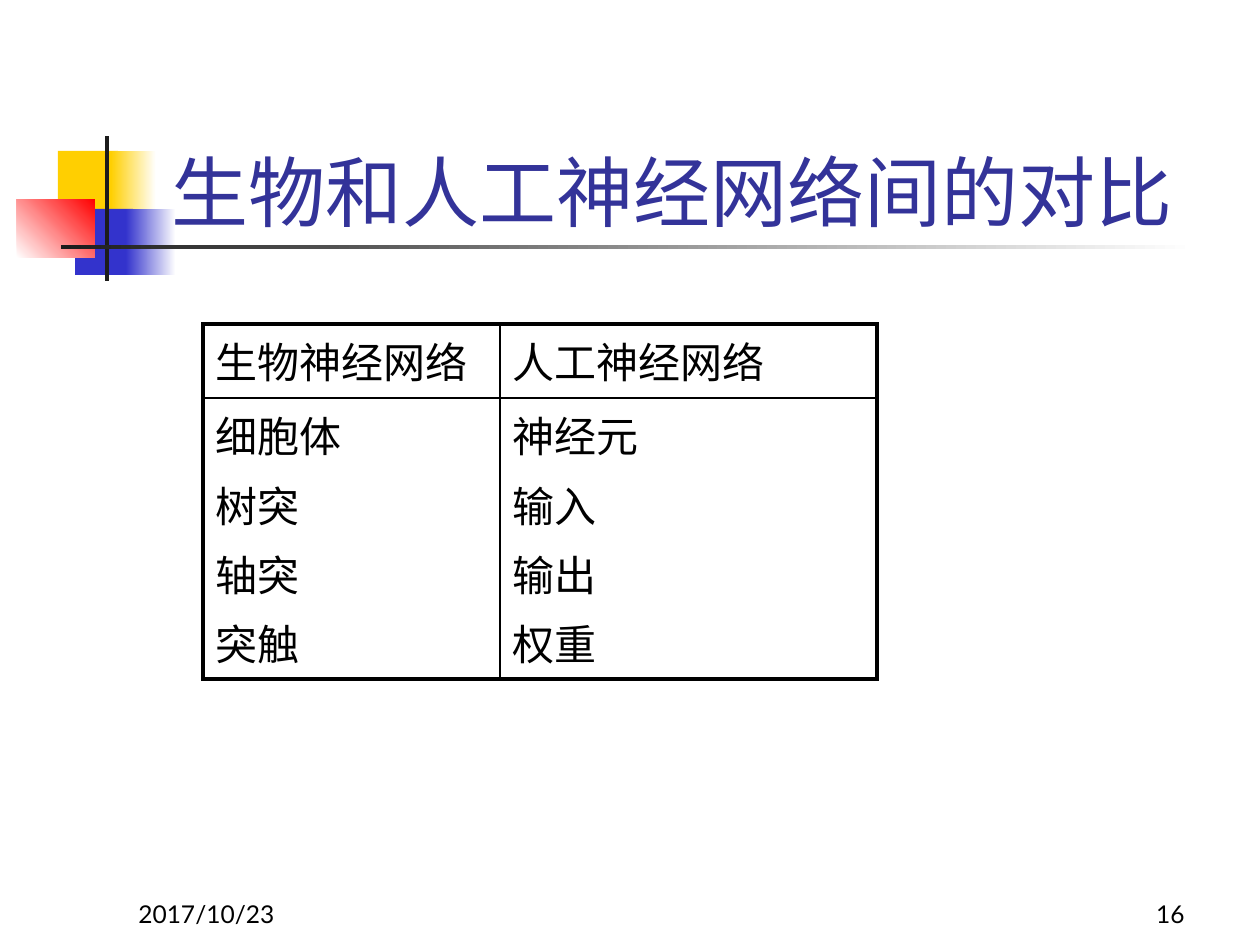
from pptx import Presentation
from pptx.dml.color import RGBColor
from pptx.enum.shapes import MSO_SHAPE
from pptx.enum.text import MSO_ANCHOR, PP_ALIGN
from pptx.oxml import parse_xml
from pptx.oxml.ns import nsdecls
from pptx.util import Pt

RECT = MSO_SHAPE.RECTANGLE
BOTTOM = MSO_ANCHOR.BOTTOM
LEFT, RIGHT = PP_ALIGN.LEFT, PP_ALIGN.RIGHT
PX = 914400 / 126


def px(*values):
    """Turn pixel lengths into EMU."""
    return [round(v * PX) for v in values]


def add_run(p, text, size, color, font):
    r = p.add_run()
    r.text = text
    r.font.size = Pt(size)
    r.font.name = font
    r.font.color.rgb = RGBColor.from_string(color)


prs = Presentation()
prs.slide_width, prs.slide_height = px(1260, 945)
s = prs.slides.add_slide(prs.slide_layouts[6])

# Corner ornament: box, gradient stops (one colour is a solid fill), angle
ornament = [
    ((58, 151, 60, 66), ["FFCF01"], 0),
    ((111, 151, 45, 66), ["FFCF01", "FFFFFF"], 0),
    ((75, 209, 58, 66), ["3333CC"], 0),
    ((126, 209, 50, 66), ["3333CC", "FFFFFF"], 0),
    ((17, 199, 78, 59), ["FFFFFF", "FF0000"], 45),
    ((105, 136, 4, 145), ["1C1C1C"], 0),
    ((61, 245, 1134, 4), ["1C1C1C", "FFFFFF"], 0),
]
for box, colors, angle in ornament:
    sp = s.shapes.add_shape(RECT, *px(*box))
    sp.shadow.inherit = False
    sp.line.fill.background()
    if len(colors) == 1:
        sp.fill.solid()
        sp.fill.fore_color.rgb = RGBColor.from_string(colors[0])
    else:
        sp.fill.gradient()
        sp.fill.gradient_angle = angle
        for stop, color in zip(sp.fill.gradient_stops, colors):
            stop.color.rgb = RGBColor.from_string(color)

# Date, slide number and title
texts = [
    ((126, 872, 262, 63), "2017/10/23", 14, "000000", LEFT),
    ((935, 872, 262, 63), "16", 14, "000000", RIGHT),
    ((159, 86, 1073, 157), "生物和人工神经网络间的对比", 44, "333399", LEFT),
]
for box, text, size, color, align in texts:
    tf = s.shapes.add_textbox(*px(*box)).text_frame
    tf.word_wrap = True
    tf.vertical_anchor = BOTTOM
    p = tf.paragraphs[0]
    p.alignment = align
    add_run(p, text, size, color, "Lato")

# Comparison table: thick outer border, thin inner lines
rows = [
    [["生物神经网络"], ["人工神经网络"]],
    [["细胞体", "树突", "轴突", "突触"], ["神经元", "输入", "输出", "权重"]],
]
col_widths = px(297, 377)
row_heights = px(74, 281)
table = s.shapes.add_table(2, 2, *px(203, 324, 674, 355)).table
table.first_row = False
table.horz_banding = False
for col, width in zip(table.columns, col_widths):
    col.width = width
for row, height in zip(table.rows, row_heights):
    row.height = height

for i, row in enumerate(rows):
    for j, lines in enumerate(row):
        cell = table.cell(i, j)
        tf = cell.text_frame
        for n, line in enumerate(lines):
            p = tf.paragraphs[0] if n == 0 else tf.add_paragraph()
            p.space_before = Pt(4.8)
            add_run(p, line, 24, "000000", "Times New Roman")
        tcPr = cell._tc.get_or_add_tcPr()
        for side, outer in (("L", j == 0), ("R", j == 1), ("T", i == 0), ("B", i == 1)):
            width = Pt(2.25 if outer else 1)
            tcPr.append(parse_xml(
                f'<a:ln{side} {nsdecls("a")} w="{width}"><a:solidFill>'
                f'<a:srgbClr val="000000"/></a:solidFill></a:ln{side}>'))
        cell.fill.background()

prs.save("out.pptx")
